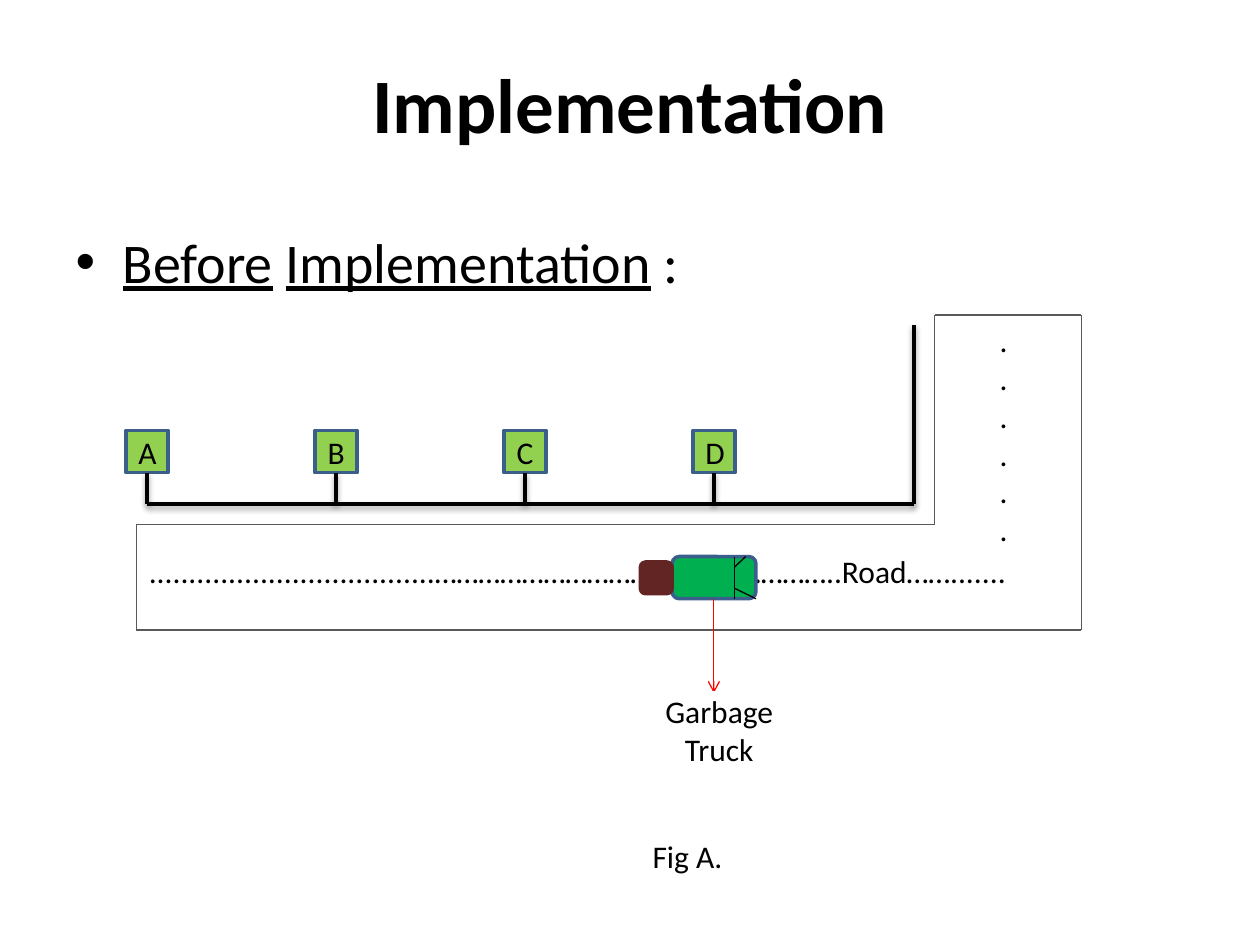
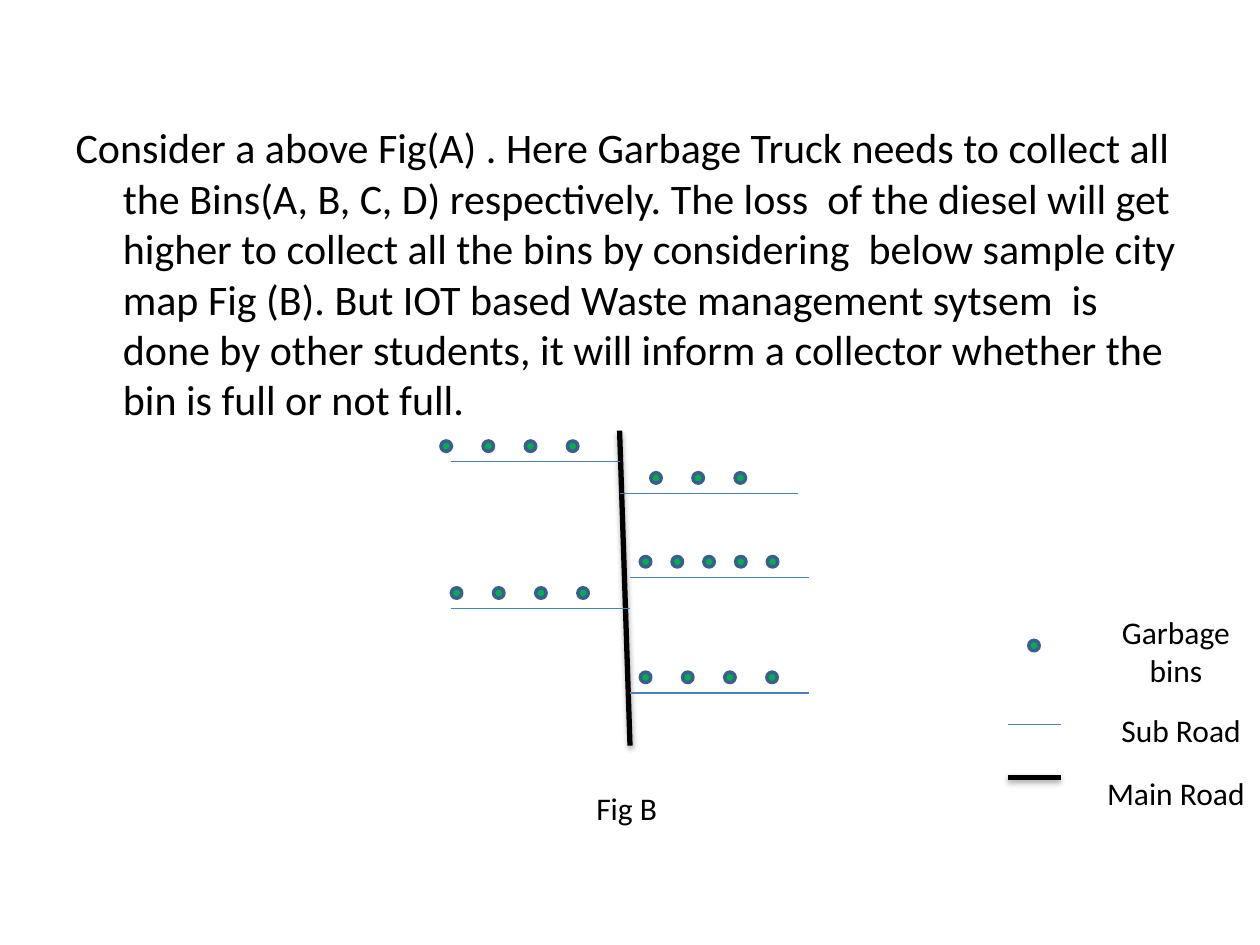
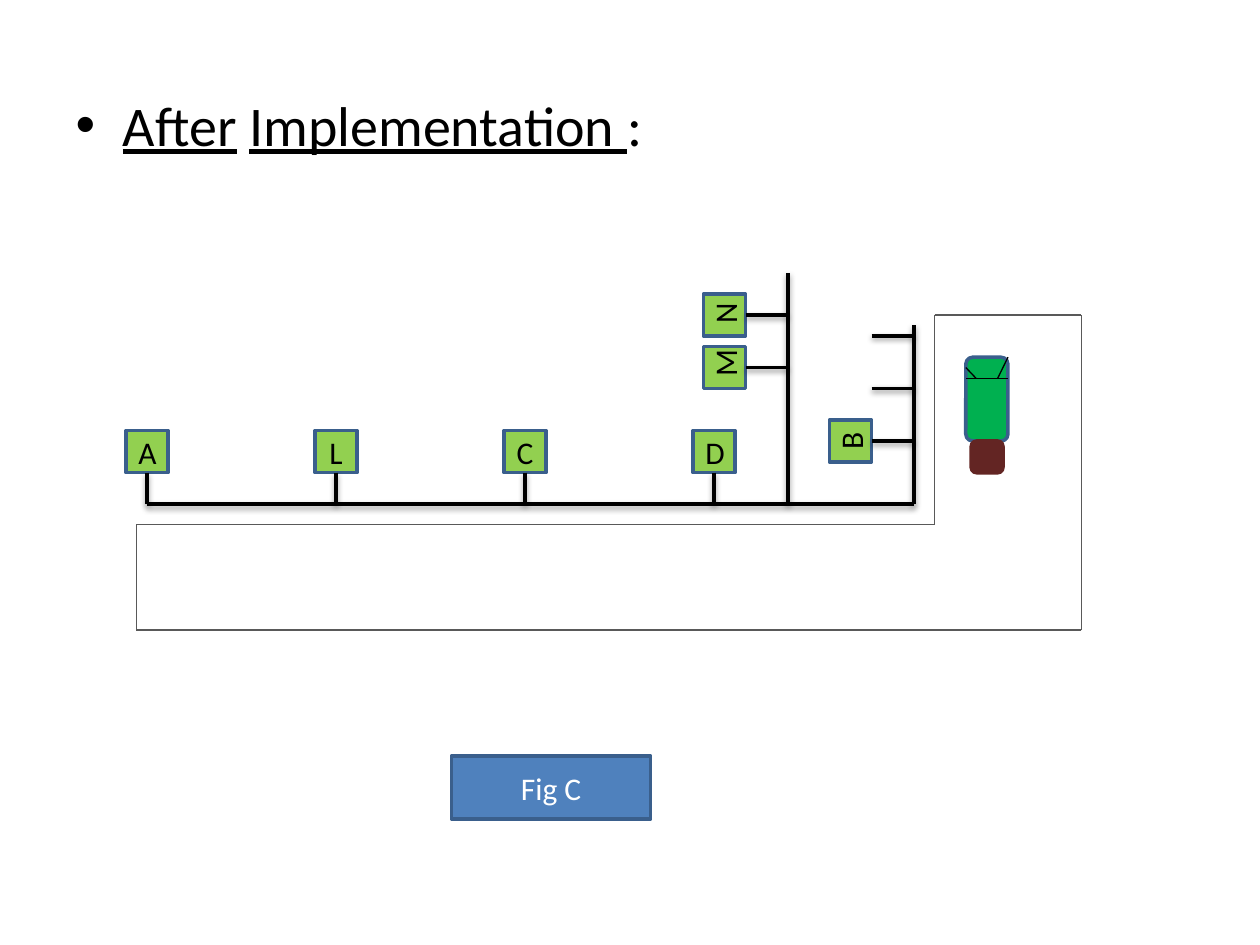
import lxml.etree
import pptx
import pptx.dml.color
import pptx.enum.shapes
import pptx.enum.text
import pptx.oxml.ns
import pptx.util

Cm, Pt = pptx.util.Cm, pptx.util.Pt
KIND = pptx.enum.shapes.MSO_SHAPE
qn = pptx.oxml.ns.qn

# Shared look
FONT = "Calibri"
BLACK, WHITE, RED = "000000", "FFFFFF", "FF0000"
EDGE, BLUE, LANE, CURB = "3A5F8C", "4F81BD", "4B7EBC", "595959"
LIME, GREEN, BROWN = "92D050", "00B050", "632523"
SIDE = 0.85                 # side of a bin
FIG = (2.54, 6.35)          # corner of the street figures


def tint(hue):
    return pptx.dml.color.RGBColor.from_string(hue)


def style(frame, size, hue=BLACK, bold=None):
    for para in frame.paragraphs:
        for run in para.runs:
            run.font.name, run.font.size = FONT, Pt(size)
            run.font.color.rgb = tint(hue)
            run.font.bold = bold


def place(shape, left, top, width, height):
    shape.left, shape.top = Cm(left), Cm(top)
    shape.width, shape.height = Cm(width), Cm(height)


def block(shapes, kind, box, fill, edge, text="", hue=BLACK, turn=0):
    shape = shapes.add_shape(kind, *map(Cm, box))
    shape.shadow.inherit = False
    shape.fill.solid()
    shape.fill.fore_color.rgb = tint(fill)
    shape.line.color.rgb = tint(edge)
    shape.line.width = Pt(2)
    shape.rotation = turn
    if text:
        frame = shape.text_frame
        frame.text = text
        frame.vertical_anchor = pptx.enum.text.MSO_ANCHOR.MIDDLE
        for para in frame.paragraphs:
            para.alignment = pptx.enum.text.PP_ALIGN.CENTER
        style(frame, 18, hue)
    return shape


def label(shapes, box, text):
    return block(shapes, KIND.RECTANGLE, box, WHITE, WHITE, text)


def line(shapes, start, end, hue=BLACK, width=0.75, shade=0, arrow=False,
         source=None, site=2):
    """Straight line; shade is the opacity of its shadow in percent."""
    kind = pptx.enum.shapes.MSO_CONNECTOR.STRAIGHT
    link = shapes.add_connector(kind, *map(Cm, start + end))
    if source is not None:
        # A turned shape's site is reset to where it shows
        link.begin_connect(source, site)
        link.begin_x, link.begin_y = map(Cm, start)
    link.line.color.rgb = tint(hue)
    link.line.width = Pt(width)
    props = link._element.spPr
    if arrow:
        tail = lxml.etree.SubElement(props.find(qn("a:ln")), qn("a:tailEnd"))
        tail.set("type", "arrow")
    effect = lxml.etree.SubElement(props, qn("a:effectLst"))
    if shade:
        cast = lxml.etree.SubElement(
            effect, qn("a:outerShdw"), blurRad="40000", dist="20000",
            dir="5400000", rotWithShape="0")
        tone = lxml.etree.SubElement(cast, qn("a:srgbClr"), val=BLACK)
        lxml.etree.SubElement(tone, qn("a:alpha"), val=str(shade * 1000))
    return link


def wire(shapes, start, end, source=None):
    return line(shapes, start, end, width=2, shade=38, source=source)


def note(shapes, box, text):
    area = shapes.add_textbox(*map(Cm, box))
    frame = area.text_frame
    frame.word_wrap = True
    frame.auto_size = pptx.enum.text.MSO_AUTO_SIZE.SHAPE_TO_FIT_TEXT
    frame.text = text
    style(frame, 18)


# Title and body placeholders
def page(deck, box, parts, size, title="", bullet=True):
    """Slide with a body; parts pairs each text with its underline."""
    slide = deck.slides.add_slide(deck.slide_layouts[1])
    head, body = slide.shapes.title, slide.placeholders[1]
    if title:
        place(head, 1.27, 0.76, 22.86, 2.62)
        head.text_frame.text = title
        style(head.text_frame, 44, bold=True)
    else:
        head._element.getparent().remove(head._element)
    place(body, *box)
    para = body.text_frame.paragraphs[0]
    for text, under in parts:
        run = para.add_run()
        run.text = text
        run.font.underline = under
    style(body.text_frame, size)
    if not bullet:
        props = para._p.get_or_add_pPr()
        lxml.etree.SubElement(props, qn("a:buNone"))
    return slide.shapes


# Street with its bins
def bin_box(shapes, left, top, name, turn=0):
    box = (left, top, SIDE, SIDE)
    return block(shapes, KIND.RECTANGLE, box, LIME, EDGE, name, turn=turn)


def street(shapes, left, top, names):
    shapes = shapes.add_group_shape().shapes
    base = top + 3.81
    wire(shapes, (left + 0.42, base), (left + 15.88, base))
    wire(shapes, (left + 15.88, top + 0.21), (left + 15.88, base))
    for i, name in enumerate(names):
        x = left + 3.81 * i
        bin_ = bin_box(shapes, x, top + 2.33, name)
        mid = x + SIDE / 2
        wire(shapes, (mid, top + 2.33 + SIDE), (mid, base), bin_)


def branch(shapes, x, y, names):
    """Stubs that reach a post at x, each with a turned bin if named."""
    for i, name in enumerate(names):
        mid = y + 1.06 * i
        bin_ = None
        if name:
            bin_ = bin_box(shapes, x - 2 * SIDE, mid - SIDE / 2, name, 270)
        wire(shapes, (x - SIDE, mid), (x, mid), bin_)


def road(shapes, left, top):
    shapes = shapes.add_group_shape().shapes
    edge = [(0.21, 4.23), (16.3, 4.23), (16.3, 0), (19.26, 0),
            (19.26, 6.35), (0.21, 6.35)]
    spots = [(left + x, top + y) for x, y in edge]
    for start, end in zip(spots, spots[1:] + spots[:1]):
        line(shapes, start, end, CURB)


def truck(shapes, left, top, upward=False):
    shapes = shapes.add_group_shape().shapes

    def spot(u, v):
        if upward:
            return left + v, top + 2.33 - u
        return left + u, top + v

    def part(u, v, width, height, fill, edge):
        x, y = spot(u + width / 2, v + height / 2)
        box = (x - width / 2, y - height / 2, width, height)
        return block(shapes, KIND.ROUNDED_RECTANGLE, box, fill, edge,
                     turn=270 if upward else 0)

    body = part(0.64, 0, 1.69, SIDE, GREEN, EDGE)
    part(0, 0.11, 0.64, 0.64, BROWN, BROWN)
    # Windscreen and its two corner lines
    for start, end in [((1.9, SIDE), (1.9, 0)), ((1.9, 0.21), (2.12, 0)),
                       ((1.9, 0.64), (2.33, SIDE))]:
        line(shapes, spot(*start), spot(*end))
    return body


# City map
def dot(shapes, x, y):
    block(shapes, KIND.OVAL, (x, y, 0.21, 0.21), GREEN, EDGE)


def main_road(shapes, start, end):
    line(shapes, start, end, width=3, shade=35)


def city(shapes, left, top):
    main_road(shapes, (left + 3.6, top), (left + 3.81, top + 6.35))
    # First dot, step, count, height, road from and to
    rows = [(0, 0.85, 4, 0.21, 0.21, 3.6),
            (4.23, 0.85, 3, 0.85, 3.6, 7.2),
            (4.02, 0.64, 5, 2.54, 3.81, 7.41),
            (0.21, 0.85, 4, 3.17, 0.21, 3.81),
            (4.02, 0.85, 4, 4.87, 3.81, 7.41)]
    for first, step, count, y, x1, x2 in rows:
        level = top + y + 0.42
        line(shapes, (left + x1, level), (left + x2, level), LANE)
        for i in range(count):
            dot(shapes, left + first + step * i, top + y)


def legend(shapes, left, top):
    dot(shapes, left + 0.42, top + 0.42)
    line(shapes, (left, top + 2.12), (left + 1.06, top + 2.12), LANE)
    main_road(shapes, (left, top + 3.18), (left + 1.06, top + 3.18))
    for x, y, width, height, text in [
            (1.69, 0, 3.39, 1.27, "Garbage bins"),
            (1.9, 1.69, 3.18, 1.06, "Sub Road"),
            (1.69, 2.96, 3.39, 1.06, "Main Road")]:
        label(shapes, (left + x, top + y, width, height), text)


# Slides
def before(deck):
    parts = [("Before", True), (" ", False), ("Implementation", True),
             (" :", False)]
    shapes = page(deck, (1.27, 4.45, 22.86, 12.57), parts, 32,
                  "Implementation")
    street(shapes, *FIG, "ABCD")
    road(shapes, *FIG)
    note(shapes, (2.75, 11, 20.53, 1.02),
         "....................................……………………………………………….."
         "Road…….......")
    note(shapes, (19.9, 6.35, 1.27, 4.87), "\n".join("." * 6))
    body = truck(shapes, 12.91, 11.22)
    mid, low = 14.39, 12.07
    line(shapes, (mid, low), (mid, 12.91), source=body)
    line(shapes, (mid, low), (mid, 13.97), RED, arrow=True, source=body)
    label(shapes, (12.91, 13.97, 3.18, 1.48), "Garbage\nTruck")
    label(shapes, (11, 16.72, 5.72, 1.06), "Fig A.")


def sample(deck):
    text = ("Consider a above Fig(A) . Here Garbage Truck needs to collect "
            "all the Bins(A, B, C, D) respectively. The loss  of the diesel "
            "will get higher to collect all the bins by considering  below "
            "sample city map Fig (B). But IOT based Waste management sytsem  "
            "is done by other students, it will inform a collector whether "
            "the bin is full or not full.")
    shapes = page(deck, (1.27, 2.33, 22.86, 14.69), [(text, None)], 24,
                  bullet=False)
    city(shapes, 8.89, 8.68)
    legend(shapes, 20.32, 12.49)
    label(shapes, (10.8, 15.66, 3.81, 1.27), "Fig B ")


def after(deck):
    parts = [("After", True), (" ", False), ("Implementation ", True),
             (":", False)]
    shapes = page(deck, (1.27, 1.69, 22.86, 15.33), parts, 32)
    left, top = FIG
    street(shapes, left, top, "ALCD")
    road(shapes, left, top)
    truck(shapes, 19.47, 7.2, upward=True)
    post = left + 13.34
    wire(shapes, (post, top - SIDE), (post, top + 3.81))
    branch(shapes, post, top, ["N", "M"])
    branch(shapes, left + 15.88, top + 0.42, ["", "", "B"])
    block(shapes, KIND.RECTANGLE, (9.1, 15.24, 4.02, 1.27), BLUE, EDGE,
          "Fig C", WHITE)


def main():
    deck = pptx.Presentation()
    deck.slide_width, deck.slide_height = Cm(25.4), Cm(19.05)
    before(deck)
    sample(deck)
    after(deck)
    deck.save("out.pptx")


if __name__ == "__main__":
    main()
